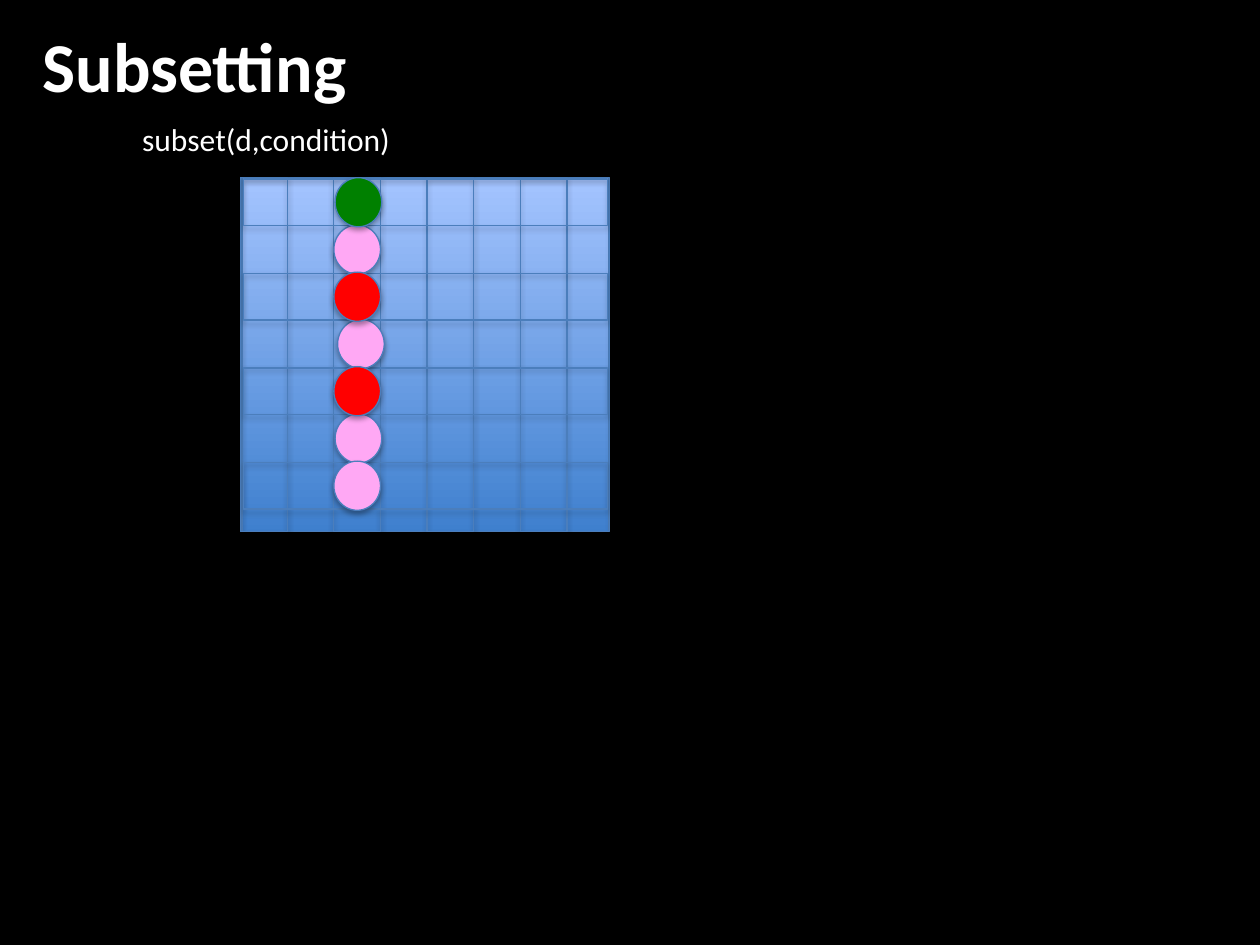
from pptx import Presentation
from pptx.dml.color import RGBColor as RGB
from pptx.enum.shapes import MSO_SHAPE as Shape
from pptx.enum.text import MSO_AUTO_SIZE as Auto
from pptx.oxml import parse_xml
from pptx.oxml.ns import nsdecls, qn
from pptx.util import Inches, Pt

THEME = {
    "font": "Calibri", "title": 40, "body": 18, "line": 0.75,
    "back": "000000", "text": "FFFFFF", "edge": "4B7EBC",
    "low": "3F80CE", "high": "A4C4FF",
    "pink": "FFA8F4", "red": "FF0000", "green": "008000",
}
TEXTS = [
    ("Subsetting", (0.24, 0.13, 2.64, 0.77), "title", True),
    ("subset(d,condition)", (1.03, 0.9, 2.19, 0.4), "body", False),
]
DOTS = [
    ("pink", 2.65, 1), ("pink", 2.68, 3), ("pink", 2.66, 5), ("pink", 2.65, 6),
    ("red", 2.65, 4), ("red", 2.65, 2), ("green", 2.66, 0),
]
LEFT, TOP, WIDE, HIGH = 1.91, 1.41, 2.92, 2.81
BAND, STEP, ROW, DOT = 0.37, 0.74, 0.375, 0.39
SHADE = (
    f'<a:outerShdw {nsdecls("a")} blurRad="{Pt(3.1)}" dist="{Pt(1.8)}" '
    'dir="5400000" rotWithShape="0"><a:srgbClr val="000000">'
    '<a:alpha val="35000"/></a:srgbClr></a:outerShdw>'
)


def color(name):
    return RGB.from_string(THEME[name])


def draw(slide, kind, box, fill=None):
    item = slide.shapes.add_shape(kind, *map(Inches, box))
    if fill:
        item.fill.solid()
        item.fill.fore_color.rgb = color(fill)
    else:
        item.fill.background()
    item.line.color.rgb = color("edge")
    item.line.width = Pt(THEME["line"])
    item.shadow.inherit = False
    item._element.spPr.find(qn("a:effectLst")).append(parse_xml(SHADE))
    return item


def write(slide, words, box, size, bold):
    frame = slide.shapes.add_textbox(*map(Inches, box)).text_frame
    frame.word_wrap = False
    frame.auto_size = Auto.SHAPE_TO_FIT_TEXT
    para = frame.paragraphs[0]
    para.text = words
    font = para.font
    font.name, font.size, font.bold = THEME["font"], Pt(THEME[size]), bold
    font.color.rgb = color("text")


def grid(slide):
    base = draw(slide, Shape.RECTANGLE, (LEFT, TOP, WIDE, HIGH))
    base.fill.gradient()
    base.fill.gradient_angle = 90
    for stop, name in zip(base.fill.gradient_stops, ("low", "high")):
        stop.color.rgb = color(name)
    draw(slide, Shape.RECTANGLE, (LEFT + 0.01, TOP, WIDE, HIGH))
    for col in range(4):
        draw(slide, Shape.RECTANGLE, (LEFT + col * STEP, TOP, BAND, HIGH))
    for row in reversed(range(4)):
        top = TOP + 0.01 + 2 * row * ROW
        draw(slide, Shape.RECTANGLE, (LEFT + 0.02, top, 2.89, BAND))


def main():
    deck = Presentation()
    deck.slide_width, deck.slide_height = Inches(10), Inches(7.5)
    slide = deck.slides.add_slide(deck.slide_layouts[6])
    slide.background.fill.solid()
    slide.background.fill.fore_color.rgb = color("back")
    grid(slide)
    for entry in TEXTS:
        write(slide, *entry)
    for fill, left, row in DOTS:
        draw(slide, Shape.OVAL, (left, TOP + row * ROW, BAND, DOT), fill)
    deck.save("out.pptx")


if __name__ == "__main__":
    main()
